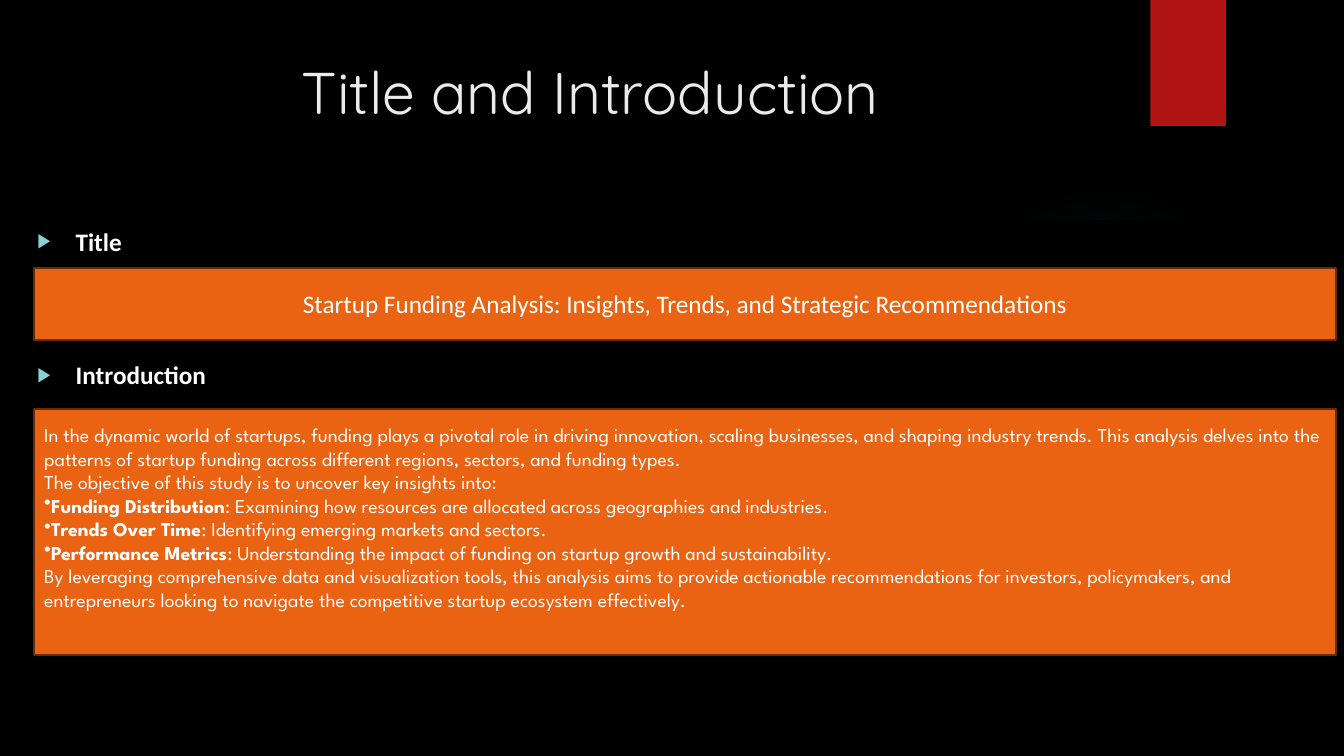
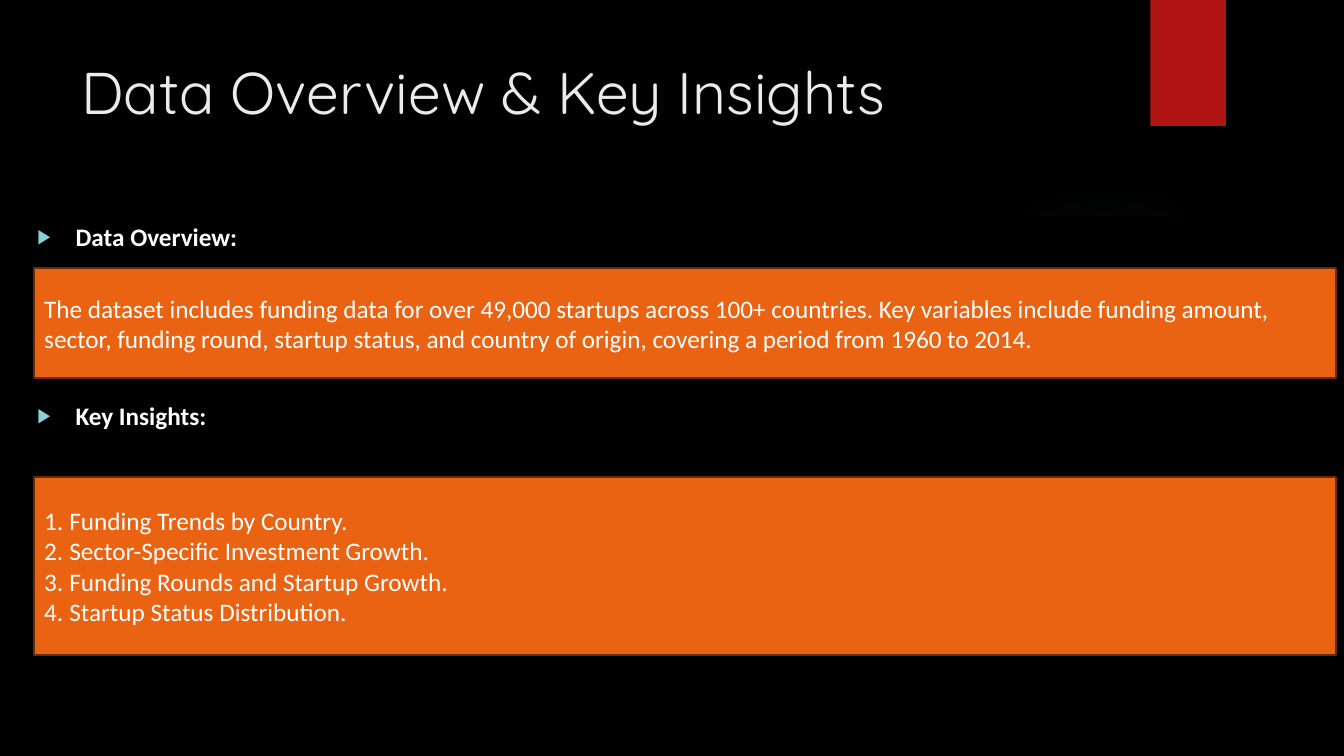
"""Build two slides on startup funding: introduction, then data overview."""
from pptx import Presentation
from pptx.dml.color import RGBColor
from pptx.enum.shapes import MSO_SHAPE
from pptx.enum.text import MSO_ANCHOR, MSO_AUTO_SIZE, PP_ALIGN
from pptx.oxml import parse_xml
from pptx.oxml.ns import nsdecls
from pptx.util import Inches, Pt

RECT, OVAL = MSO_SHAPE.RECTANGLE, MSO_SHAPE.OVAL
TOP, MIDDLE = MSO_ANCHOR.TOP, MSO_ANCHOR.MIDDLE
LEFT, CENTER = PP_ALIGN.LEFT, PP_ALIGN.CENTER

BLACK = RGBColor(0x00, 0x00, 0x00)
WHITE = RGBColor(0xFF, 0xFF, 0xFF)
PALE = RGBColor(0xEB, 0xEB, 0xEB)
RED = RGBColor(0xB0, 0x15, 0x13)
ORANGE = RGBColor(0xEA, 0x63, 0x12)
BROWN = RGBColor(0x67, 0x2B, 0x08)
AQUA = RGBColor(0x8A, 0xD0, 0xD6)
TEAL = RGBColor(0x50, 0xB9, 0xC1)

TITLE_FONT = {"name": "Quicksand", "size": Pt(42), "bold": False, "color": PALE}
HEAD_FONT = {"name": "Calibri", "size": Pt(18), "bold": True, "color": WHITE}
TEXT_FONT = {**HEAD_FONT, "bold": False}
SMALL_FONT = {**TEXT_FONT, "name": "League Spartan", "size": Pt(14)}

GLOW_STOPS = [(0, 7), (36, 6), (69, 0)]
TITLE_BOX = (0.71, 0.5, 10.29, 1.53)
BOX_LEFT, BOX_WIDTH = 0.34, 12.91
HEAD_LINE, HEAD_GAP = 22, 10

HEAD_BULLET = (f'<a:buClr {nsdecls("a")}><a:srgbClr val="{AQUA}"/></a:buClr>',
               f'<a:buSzPct {nsdecls("a")} val="80000"/>',
               f'<a:buChar {nsdecls("a")} char="▶"/>')
DOT = (f'<a:buChar {nsdecls("a")} char="•"/>',)
NUMBER = (f'<a:buAutoNum {nsdecls("a")} type="arabicPeriod"/>',)

SLIDES = [
    {
        "title": "Title and Introduction", "align": CENTER,
        "body_top": 2.19, "headings": ["Title", "Introduction"], "skipped_lines": 2,
        "boxes": [
            {"top": 2.66, "height": 0.71, "align": CENTER, "font": TEXT_FONT, "paragraphs": [
                ("", "Startup Funding Analysis: Insights, Trends, and Strategic Recommendations", ())]},
            {"top": 4.06, "height": 2.44, "align": LEFT, "font": SMALL_FONT, "bottom": 0.35, "paragraphs": [
                ("", "In the dynamic world of startups, funding plays a pivotal role in driving innovation, "
                 "scaling businesses, and shaping industry trends. This analysis delves into the patterns of "
                 "startup funding across different regions, sectors, and funding types.", ()),
                ("", "The objective of this study is to uncover key insights into:", ()),
                ("Funding Distribution",
                 ": Examining how resources are allocated across geographies and industries.", DOT),
                ("Trends Over Time", ": Identifying emerging markets and sectors.", DOT),
                ("Performance Metrics",
                 ": Understanding the impact of funding on startup growth and sustainability.", DOT),
                ("", "By leveraging comprehensive data and visualization tools, this analysis aims to provide "
                 "actionable recommendations for investors, policymakers, and entrepreneurs looking to "
                 "navigate the competitive startup ecosystem effectively.", ())]},
        ],
    },
    {
        "title": "Data Overview & Key Insights", "align": LEFT,
        "body_top": 2.15, "headings": ["Data Overview:", "Key Insights:"], "skipped_lines": 3,
        "boxes": [
            {"top": 2.66, "height": 1.09, "align": LEFT, "font": TEXT_FONT, "paragraphs": [
                ("", "The dataset includes funding data for over 49,000 startups across 100+ countries. "
                 "Key variables include funding amount, sector, funding round, startup status, and country "
                 "of origin, covering a period from 1960 to 2014.", ())]},
            {"top": 4.73, "height": 1.77, "align": LEFT, "font": TEXT_FONT, "indent": 0.25, "paragraphs": [
                ("", "Funding Trends by Country.", NUMBER),
                ("", "Sector-Specific Investment Growth.", NUMBER),
                ("", "Funding Rounds and Startup Growth.", NUMBER),
                ("", "Startup Status Distribution.", NUMBER)]},
        ],
    },
]


def place(shape, left, top, width, height):
    for name, value in zip(("left", "top", "width", "height"), (left, top, width, height)):
        setattr(shape, name, Inches(value))


def paint(shape, fill, line):
    shape.fill.solid()
    shape.fill.fore_color.rgb = fill
    shape.line.color.rgb = line
    shape.line.width = Pt(1.5)


def add_run(p, text, style):
    r = p.add_run()
    r.text = text
    for name, value in style.items():
        if name == "color":
            r.font.color.rgb = value
        else:
            setattr(r.font, name, value)


def add_bullet(p, parts, indent):
    pPr = p._p.get_or_add_pPr()
    pPr.set("marL", str(Inches(indent)))
    pPr.set("indent", str(-Inches(indent)))
    for part in parts:
        pPr.append(parse_xml(part))


def paragraphs(tf, count):
    return [tf.paragraphs[0]] + [tf.add_paragraph() for _ in range(count - 1)]


def decorate(layout, s):
    """Style the layout shared by all slides, with shapes drawn on s and moved."""
    layout.background.fill.solid()
    layout.background.fill.fore_color.rgb = BLACK
    place(layout.placeholders[0], *TITLE_BOX)

    glow = s.shapes.add_shape(OVAL, Inches(9.41), Inches(1.83), Inches(3.08), Inches(3.08))
    glow.fill.background()
    stops = "".join(f'<a:gs pos="{pos * 1000}"><a:srgbClr val="{TEAL}"><a:alpha val="{alpha * 1000}"/>'
                    f'</a:srgbClr></a:gs>' for pos, alpha in GLOW_STOPS)
    spPr = glow.element.spPr
    spPr.replace(spPr[-1], parse_xml(
        f'<a:gradFill {nsdecls("a")}><a:gsLst>{stops}</a:gsLst><a:path path="circle">'
        '<a:fillToRect l="50000" t="50000" r="50000" b="50000"/></a:path></a:gradFill>'))

    tab = s.shapes.add_shape(RECT, Inches(11.41), 0, Inches(0.75), Inches(1.25))
    tab.fill.solid()
    tab.fill.fore_color.rgb = RED

    for i, shape in enumerate((glow, tab)):
        shape.line.fill.background()
        shape.shadow.inherit = False
        shape.element.nvSpPr.cNvPr.set("id", str(100 + i))
        layout.element.cSld.spTree.insert(2 + i, shape.element)


def fill_title(title, content):
    tf = title.text_frame
    tf.vertical_anchor = TOP
    tf.auto_size = MSO_AUTO_SIZE.NONE
    p = tf.paragraphs[0]
    p.alignment = content["align"]
    add_run(p, content["title"], TITLE_FONT)


def fill_headings(body, content):
    place(body, 0.27, content["body_top"], 13.06, 4.61)
    paint(body, BLACK, BLACK)
    tf = body.text_frame
    tf.auto_size = MSO_AUTO_SIZE.NONE
    tf.vertical_anchor = TOP
    gap = HEAD_GAP + content["skipped_lines"] * (HEAD_LINE + HEAD_GAP)
    headings = content["headings"]
    for i, (p, text) in enumerate(zip(paragraphs(tf, len(headings)), headings)):
        add_bullet(p, HEAD_BULLET, 0.38)
        p.space_before = Pt(gap if i else 0)
        add_run(p, text, HEAD_FONT)


def add_box(s, box):
    panel = s.shapes.add_shape(RECT, Inches(BOX_LEFT), Inches(box["top"]),
                               Inches(BOX_WIDTH), Inches(box["height"]))
    panel.shadow.inherit = False
    paint(panel, ORANGE, BROWN)
    tf = panel.text_frame
    tf.word_wrap = True
    tf.vertical_anchor = MIDDLE
    tf.margin_bottom = Inches(box.get("bottom", 0.05))
    items = box["paragraphs"]
    for p, (lead, text, bullet) in zip(paragraphs(tf, len(items)), items):
        if bullet:
            add_bullet(p, bullet, box.get("indent", 0))
        p.alignment = box["align"]
        if lead:
            add_run(p, lead, {**box["font"], "bold": True})
        add_run(p, text, box["font"])


def main():
    prs = Presentation()
    prs.slide_width, prs.slide_height = Inches(13.33), Inches(7.5)
    layout = prs.slide_layouts[1]
    for i, content in enumerate(SLIDES):
        s = prs.slides.add_slide(layout)
        if i == 0:
            decorate(layout, s)
        fill_title(s.shapes.title, content)
        fill_headings(s.placeholders[1], content)
        for box in content["boxes"]:
            add_box(s, box)
    prs.save("out.pptx")


if __name__ == "__main__":
    main()
